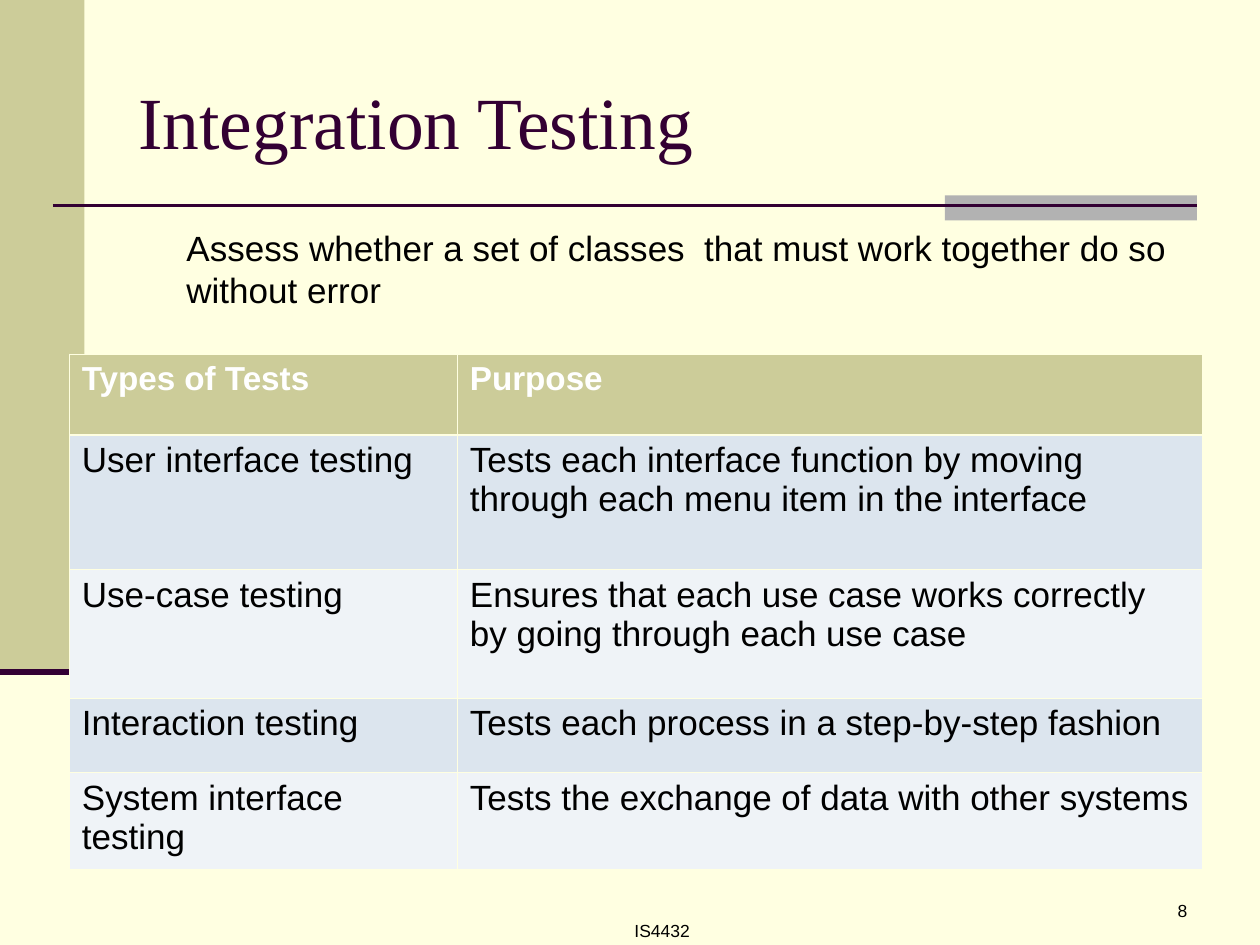
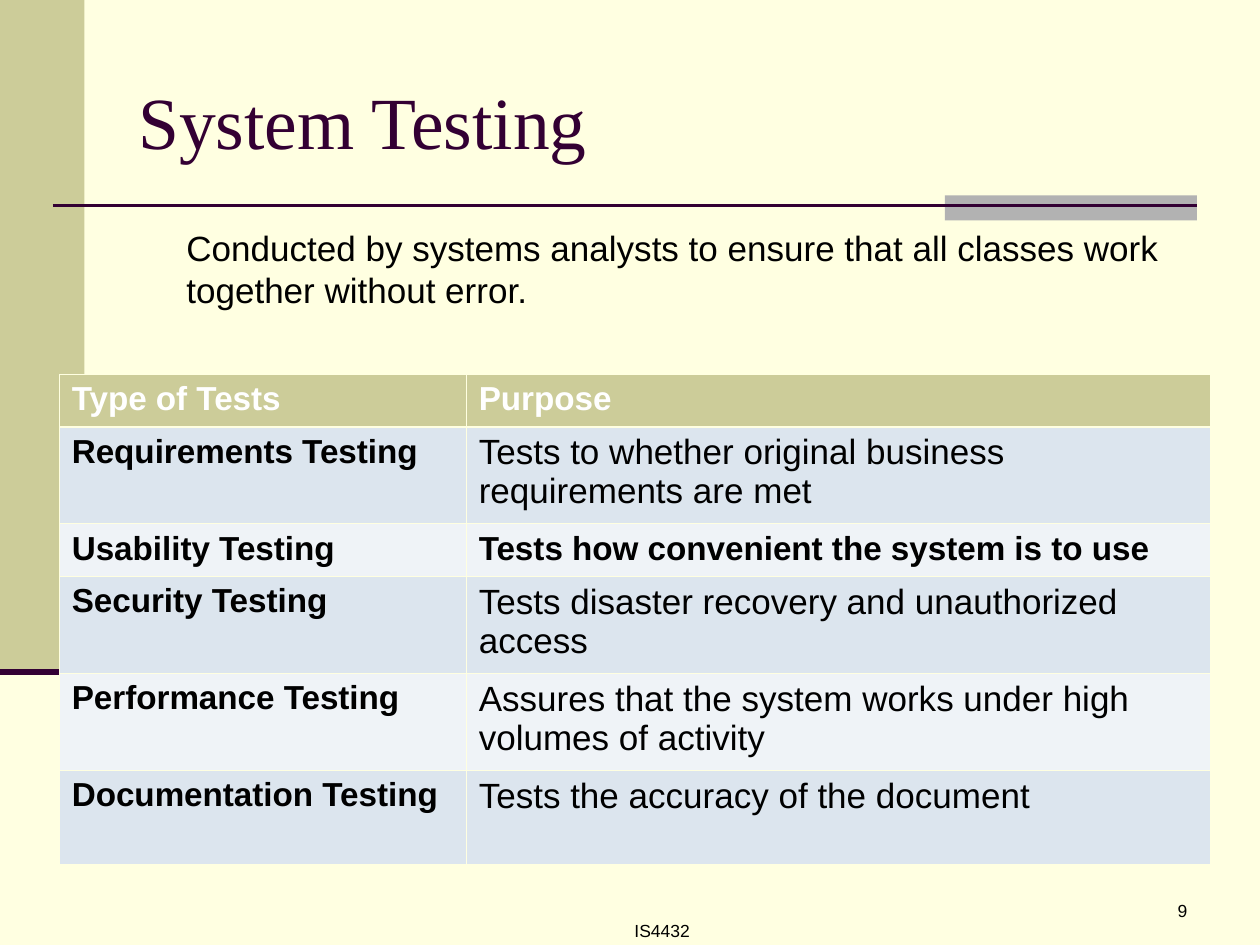
"""Build two slides on integration testing and system testing."""
from lxml import etree
from pptx import Presentation
from pptx.dml.color import RGBColor
from pptx.enum.shapes import MSO_CONNECTOR, MSO_SHAPE
from pptx.enum.text import MSO_ANCHOR, PP_ALIGN
from pptx.oxml.ns import qn
from pptx.util import Inches, Pt

RECTANGLE = MSO_SHAPE.RECTANGLE
STRAIGHT = MSO_CONNECTOR.STRAIGHT
TOP, MIDDLE = MSO_ANCHOR.TOP, MSO_ANCHOR.MIDDLE
LEFT, CENTER, RIGHT = PP_ALIGN.LEFT, PP_ALIGN.CENTER, PP_ALIGN.RIGHT

COLORS = {
    "paper": "FFFFE1",
    "olive": "CCCC99",
    "grey": "B2B2B2",
    "plum": "330033",
    "ink": "000000",
    "white": "FFFFFF",
    "band_dark": "DCE5EE",
    "band_light": "EFF3F7",
}
FORMATS = {
    "title": {"name": "Times New Roman", "size": Pt(42), "color": "plum"},
    "body": {"name": "Arial", "size": Pt(20), "color": "ink"},
    "strong": {"name": "Arial", "size": Pt(19), "color": "ink", "bold": True},
    "header": {"name": "Arial", "size": Pt(19), "color": "white", "bold": True},
    "footer": {"name": "Arial", "size": Pt(10), "color": "ink"},
}
THIN, THICK = 0.45, 1.47
FIRST_NUMBER = 8

TOPICS = [
    {
        "title": "Integration Testing",
        "summary": "Assess whether a set of classes  that must work together do so without error",
        "corner": (0.55, 2.81),
        "widths": (3.08, 5.91),
        "heights": (0.64, 1.07, 1.02, 0.59, 0.77),
        "tests": [
            ("Types of Tests", "Purpose"),
            ("User interface testing",
             "Tests each interface function by moving through each menu item in the interface"),
            ("Use-case testing",
             "Ensures that each use case works correctly by going through each use case"),
            ("Interaction testing", "Tests each process in a step-by-step fashion"),
            ("System interface testing", "Tests the exchange of data with other systems"),
        ],
        "strong": set(),
    },
    {
        "title": "System Testing",
        "summary": "Conducted by systems analysts to ensure that all classes work together without error.",
        "corner": (0.47, 2.97),
        "widths": (3.23, 5.91),
        "heights": (0.41, 0.77, 0.41, 0.77, 0.77, 0.75),
        "tests": [
            ("Type of Tests", "Purpose"),
            ("Requirements Testing", "Tests to whether original business requirements are met"),
            ("Usability Testing", "Tests how convenient the system is to use"),
            ("Security Testing", "Tests disaster recovery and unauthorized access"),
            ("Performance Testing", "Assures that the system works under high volumes of activity"),
            ("Documentation Testing", "Tests the accuracy of the document"),
        ],
        "strong": {(row, 0) for row in range(1, 6)} | {(2, 1)},
    },
]


def rgb(color):
    """Return the named colour."""
    return RGBColor.from_string(COLORS[color])


class Deck:
    """Hold the shared style and the current slide."""

    def __init__(self):
        """Start an empty 10 by 7.5 inch presentation."""
        self.presentation = Presentation()
        self.presentation.slide_width = Inches(10)
        self.presentation.slide_height = Inches(7.5)
        self.slide = None

    def new_slide(self, number):
        """Add a slide with its background, bands, rules and footers."""
        self.slide = self.presentation.slides.add_slide(self.presentation.slide_layouts[6])
        background = self.slide.background.fill
        background.solid()
        background.fore_color.rgb = rgb("paper")
        self.band(0, 0, 0.67, 5.33, "olive")
        self.band(7.5, 1.55, 2, 0.2, "grey")
        self.rule(0.42, 9.5, 1.63, 1.5)
        self.rule(0, 0.67, 5.33, 3.5)
        self.text("IS4432", (3.67, 7.25, 3.17, 0.25), "footer", align=CENTER)
        self.text(str(number), (7.44, 7.09, 2.08, 0.5), "footer", align=RIGHT)

    def band(self, left, top, width, height, color):
        """Add a plain coloured rectangle."""
        band = self.slide.shapes.add_shape(
            RECTANGLE, Inches(left), Inches(top), Inches(width), Inches(height))
        band.shadow.inherit = False
        band.fill.solid()
        band.fill.fore_color.rgb = rgb(color)
        band.line.fill.background()

    def rule(self, start, end, y, weight):
        """Add a horizontal line."""
        rule = self.slide.shapes.add_connector(
            STRAIGHT, Inches(start), Inches(y), Inches(end), Inches(y))
        rule.line.color.rgb = rgb("plum")
        rule.line.width = Pt(weight)
        etree.SubElement(rule._element.spPr, qn("a:effectLst"))

    def fill_text(self, frame, words, style, align=LEFT):
        """Put one formatted paragraph into a text frame."""
        paragraph = frame.paragraphs[0]
        paragraph.alignment = align
        run = paragraph.add_run()
        run.text = words
        for attribute, value in FORMATS[style].items():
            if attribute == "color":
                run.font.color.rgb = rgb(value)
            else:
                setattr(run.font, attribute, value)

    def text(self, words, place, style, align=LEFT, anchor=TOP, indent=0):
        """Add a wrapped text box, indented from its left side."""
        frame = self.slide.shapes.add_textbox(*map(Inches, place)).text_frame
        frame.word_wrap = True
        frame.vertical_anchor = anchor
        frame.margin_left = Inches(0.1 + indent)
        self.fill_text(frame, words, style, align)

    def border(self, cell, row):
        """Draw the cell borders, thicker below the header."""
        weights = {
            "L": THIN,
            "R": THIN,
            "T": THICK if row == 1 else THIN,
            "B": THICK if row == 0 else THIN,
        }
        properties = cell._tc.get_or_add_tcPr()
        for position, (side, weight) in enumerate(weights.items()):
            line = etree.Element(qn(f"a:ln{side}"), w=str(Pt(weight)))
            fill = etree.SubElement(line, qn("a:solidFill"))
            etree.SubElement(fill, qn("a:srgbClr"), val=COLORS["paper"])
            properties.insert(position, line)

    def table(self, tests, corner, widths, heights, strong):
        """Add a banded table with a header row."""
        left, top = corner
        table = self.slide.shapes.add_table(
            len(heights), len(widths), Inches(left), Inches(top),
            Inches(sum(widths)), Inches(sum(heights))).table
        for column, width in zip(table.columns, widths):
            column.width = Inches(width)
        for row, height in enumerate(heights):
            table.rows[row].height = Inches(height)
            band = "olive" if row == 0 else "band_dark" if row % 2 else "band_light"
            for column, words in enumerate(tests[row]):
                cell = table.cell(row, column)
                cell.fill.solid()
                cell.fill.fore_color.rgb = rgb(band)
                self.border(cell, row)
                style = "header" if row == 0 else "strong" if (row, column) in strong else "body"
                self.fill_text(cell.text_frame, words, style)


def main():
    """Build every topic slide and save the file."""
    deck = Deck()
    for number, topic in enumerate(TOPICS, FIRST_NUMBER):
        deck.new_slide(number)
        deck.text(topic["title"], (1, 0.33, 8.5, 1.25), "title", anchor=MIDDLE)
        deck.text(topic["summary"], (1, 1.75, 8.5, 4.92), "body", indent=0.38)
        deck.table(topic["tests"], topic["corner"], topic["widths"], topic["heights"],
                   topic["strong"])
    deck.presentation.save("out.pptx")


if __name__ == "__main__":
    main()
